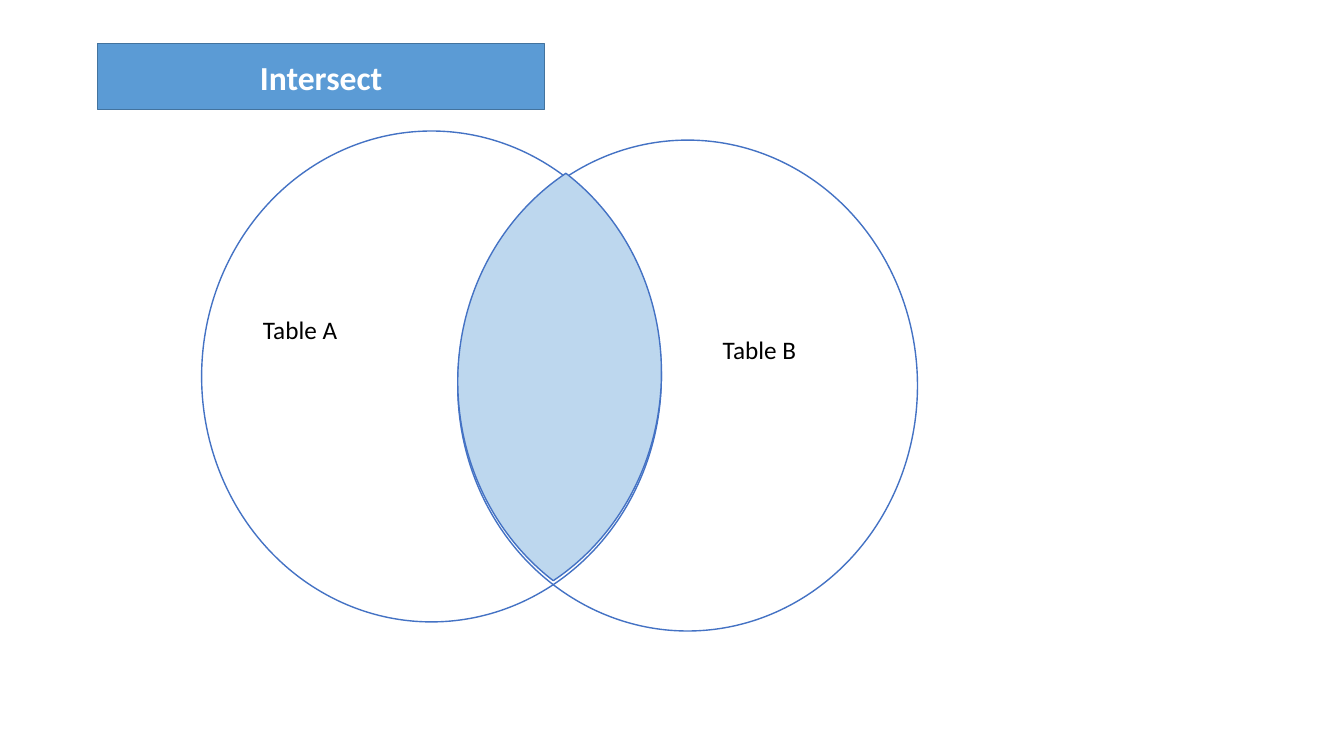
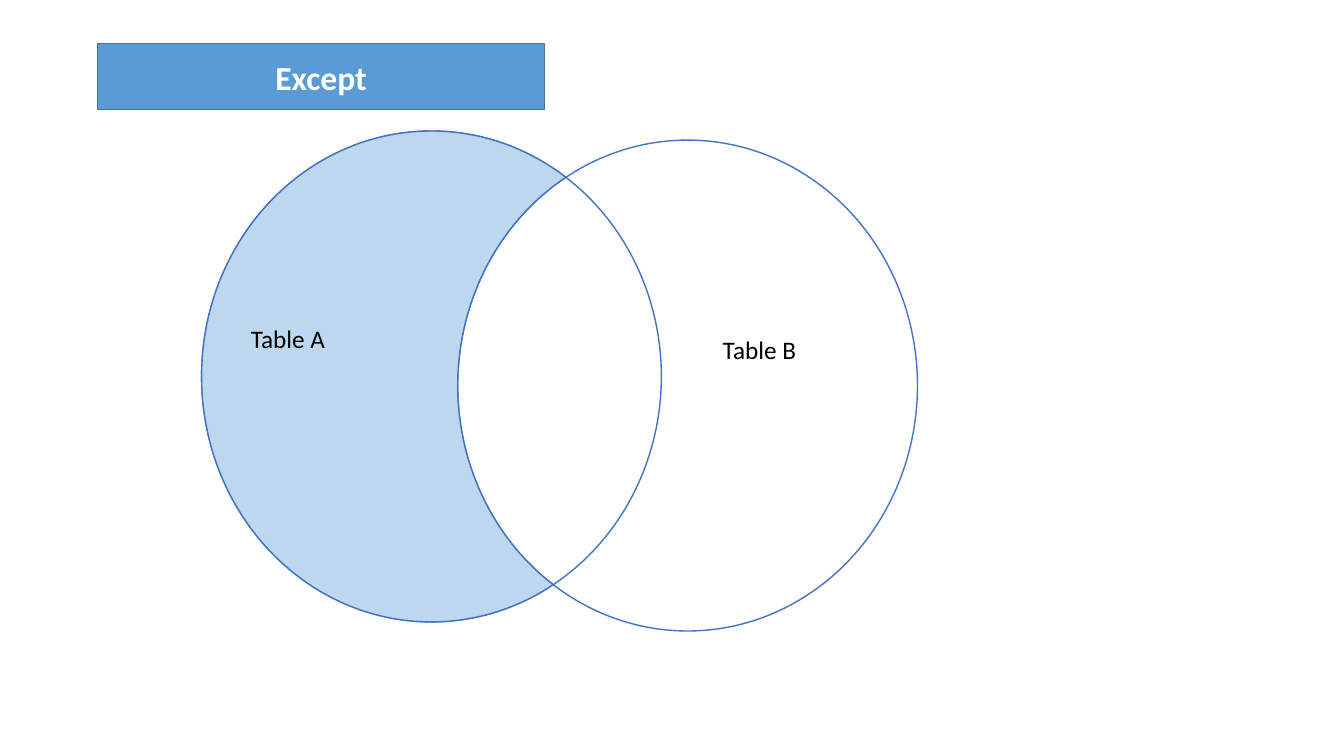
"""Build two Venn diagram slides showing the Intersect and Except set operations."""
from math import acos, atan2, cos, hypot, pi, sin, tan

from lxml import etree
from pptx import Presentation
from pptx.dml.color import RGBColor
from pptx.enum.shapes import MSO_SHAPE
from pptx.enum.text import MSO_ANCHOR, MSO_AUTO_SIZE, PP_ALIGN
from pptx.oxml.ns import qn
from pptx.util import Inches, Pt

RECTANGLE, OVAL = MSO_SHAPE.RECTANGLE, MSO_SHAPE.OVAL
MIDDLE, CENTER = MSO_ANCHOR.MIDDLE, PP_ALIGN.CENTER
GROW = MSO_AUTO_SIZE.SHAPE_TO_FIT_TEXT

THEME = {
    "font": "Calibri", "title_size": 24, "label_size": 18, "line_width": 1,
    "white": "FFFFFF", "black": "000000", "title_fill": "5B9BD5",
    "title_line": "43739E", "circle_line": "4472C4", "region_fill": "BDD7EE",
}
SLIDES = [
    {"title": "Intersect", "region": "overlap", "lift": 0.04,
     "labels": [("Table A", 2.51, 3.07), ("Table B", 7.07, 3.27)]},
    {"title": "Except", "region": "only_a", "lift": 0,
     "labels": [("Table A", 2.39, 3.16), ("Table B", 7.07, 3.27)]},
]
TITLE_BOX = (0.97, 0.43, 4.43, 0.66)
LABEL_SIZE = (1.27, 0.4)
CIRCLE_A, CIRCLE_B = (2, 1.3), (4.54, 1.39)
CIRCLE_SIZE = (4.56, 4.87)


def color(name):
    return RGBColor.from_string(THEME[name])


def paint(shape, fill, line):
    shape.shadow.inherit = False
    if fill:
        shape.fill.solid()
        shape.fill.fore_color.rgb = color(fill)
    else:
        shape.fill.background()
    shape.line.color.rgb = color(line)
    shape.line.width = Pt(THEME["line_width"])


def add_figure(slide, kind, box, fill, line):
    figure = slide.shapes.add_shape(kind, *map(Inches, box))
    paint(figure, fill, line)
    return figure


def write(paragraph, text, size, ink, bold=False):
    run = paragraph.add_run()
    run.text = text
    run.font.name = THEME["font"]
    run.font.size = Pt(THEME[size])
    run.font.bold = bold
    run.font.color.rgb = color(ink)


def arc(corner, start, end):
    """Return Bezier curves of four points each, split at the circle's extremes."""
    quarters = [step * pi / 2 for step in range(-4, 9)]
    inside = [angle for angle in quarters if min(start, end) < angle < max(start, end)]
    knots = sorted([start, *inside, end], reverse=start > end)

    def place(x, y):
        return tuple(edge + side / 2 * (1 + unit)
                     for edge, side, unit in zip(corner, CIRCLE_SIZE, (x, y)))

    curves = []
    for first, last in zip(knots, knots[1:]):
        pull = 4 / 3 * tan((last - first) / 4)
        curves.append((
            place(cos(first), sin(first)),
            place(cos(first) - pull * sin(first), sin(first) + pull * cos(first)),
            place(cos(last) + pull * sin(last), sin(last) - pull * cos(last)),
            place(cos(last), sin(last))))
    return curves


def region_outline(region):
    """Return the curves that bound a region between the circles' crossings."""
    across, down = [2 * (b - a) / side
                    for a, b, side in zip(CIRCLE_A, CIRCLE_B, CIRCLE_SIZE)]
    tilt = atan2(down, across)
    spread = acos(hypot(across, down) / 2)
    bottom_b, top_b = tilt + pi - spread, tilt + pi + spread
    if region == "overlap":
        return (arc(CIRCLE_A, tilt - spread, tilt + spread)
                + arc(CIRCLE_B, bottom_b, top_b))
    return (arc(CIRCLE_A, tilt + spread, tilt + 2 * pi - spread)
            + arc(CIRCLE_B, top_b, bottom_b))


def add_region(slide, region, lift):
    curves = [[(Inches(x), Inches(y - lift)) for x, y in curve]
              for curve in region_outline(region)]
    builder = slide.shapes.build_freeform(*curves[0][0])
    builder.add_line_segments([curve[-1] for curve in curves], close=True)
    area = builder.convert_to_shape()
    for segment, curve in zip(list(area.element.iter(qn("a:lnTo"))), curves):
        bend = etree.Element(qn("a:cubicBezTo"))
        for x, y in curve[1:]:
            etree.SubElement(bend, qn("a:pt"), x=str(x - area.left), y=str(y - area.top))
        segment.getparent().replace(segment, bend)
    paint(area, "region_fill", "circle_line")


def add_label(slide, text, left, top):
    label = slide.shapes.add_textbox(*map(Inches, (left, top, *LABEL_SIZE)))
    frame = label.text_frame
    frame.word_wrap = True
    frame.auto_size = GROW
    write(frame.paragraphs[0], text, "label_size", "black")


def add_title(slide, text):
    band = add_figure(slide, RECTANGLE, TITLE_BOX, "title_fill", "title_line")
    band.text_frame.vertical_anchor = MIDDLE
    paragraph = band.text_frame.paragraphs[0]
    paragraph.alignment = CENTER
    write(paragraph, text, "title_size", "white", bold=True)


def main():
    deck = Presentation()
    deck.slide_width, deck.slide_height = Inches(13.33), Inches(7.5)
    blank = deck.slide_layouts[6]
    for content in SLIDES:
        slide = deck.slides.add_slide(blank)
        for corner, fill in ((CIRCLE_A, "white"), (CIRCLE_B, None)):
            add_figure(slide, OVAL, corner + CIRCLE_SIZE, fill, "circle_line")
        add_region(slide, content["region"], content["lift"])
        for label in content["labels"]:
            add_label(slide, *label)
        add_title(slide, content["title"])
    deck.save("out.pptx")


if __name__ == "__main__":
    main()
